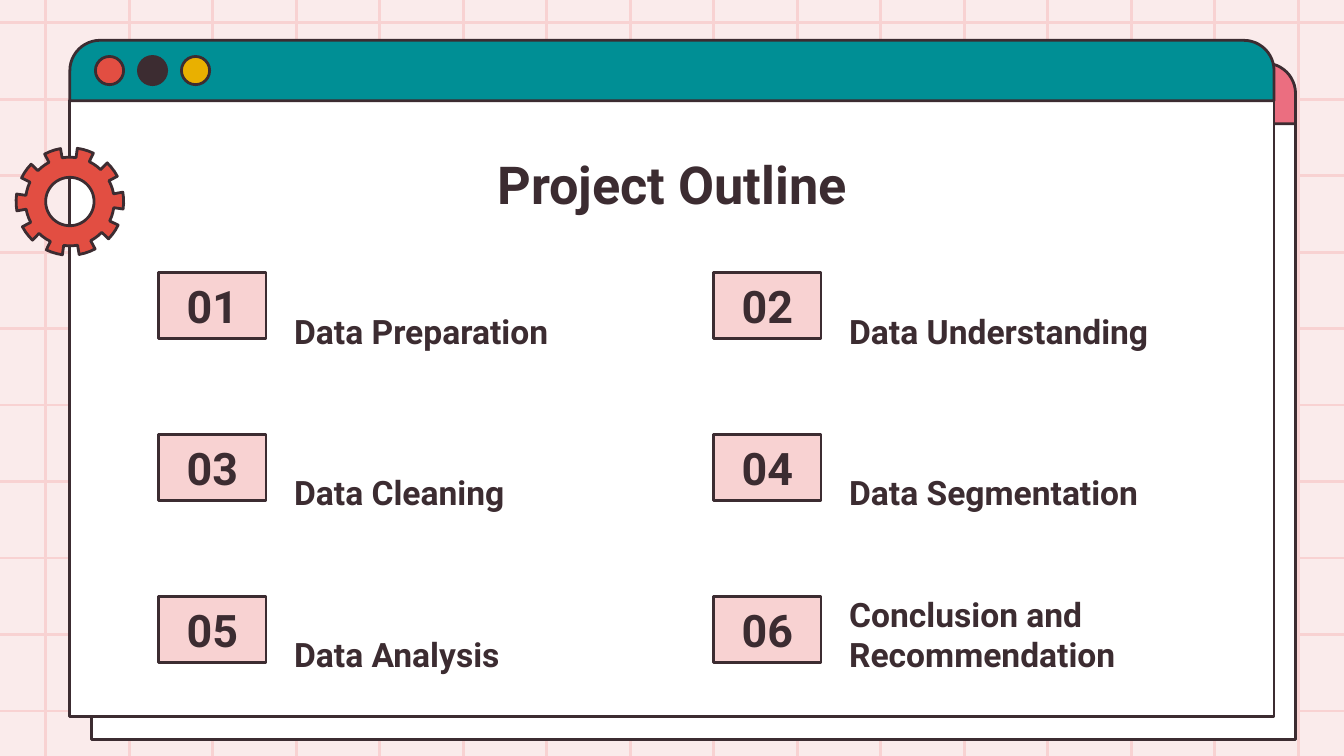
"""Build the Project Outline slide with a retro browser window."""
import math
from dataclasses import dataclass

import lxml.etree
import pptx
import pptx.dml.color
import pptx.enum.shapes
import pptx.enum.text
import pptx.oxml.ns
import pptx.util

Inches = pptx.util.Inches
Shape = pptx.enum.shapes.MSO_SHAPE
Anchor = pptx.enum.text.MSO_ANCHOR
Align = pptx.enum.text.PP_ALIGN


@dataclass(frozen=True)
class Theme:
    """Colours, font and type sizes of the slide."""
    backdrop: str = "FAEBEB"
    pink: str = "F8D2D2"
    ink: str = "3C2C31"
    white: str = "FFFFFF"
    rose: str = "EB6E80"
    teal: str = "008F95"
    red: str = "E24E42"
    yellow: str = "E9B000"
    font: str = "Roboto"
    title_size: int = 28
    number_size: int = 24
    label_size: int = 18
    stroke: float = 1.5


THEME = Theme()
TOPICS = [
    "Data Preparation", "Data Understanding",
    "Data Cleaning", "Data Segmentation",
    "Data Analysis", "Conclusion and Recommendation",
]


def rgb(colour):
    """Turn a hex string into a colour."""
    return pptx.dml.color.RGBColor.from_string(colour)


def paint(shape, fill):
    """Give a shape a flat fill and the ink outline."""
    shape.shadow.inherit = False
    shape.fill.solid()
    shape.fill.fore_color.rgb = rgb(fill)
    shape.line.color.rgb = rgb(THEME.ink)
    shape.line.width = pptx.util.Pt(THEME.stroke)


def add_block(slide, preset, box, fill):
    """Add a painted preset shape."""
    block = slide.shapes.add_shape(preset, *map(Inches, box))
    paint(block, fill)
    return block


def write(shape, text, size, align, anchor):
    """Set bold text with even insets in a shape."""
    frame = shape.text_frame
    frame.text = text
    frame.word_wrap = True
    frame.auto_size = pptx.enum.text.MSO_AUTO_SIZE.NONE
    frame.vertical_anchor = anchor
    frame.margin_left = frame.margin_right = Inches(0.1)
    frame.margin_top = frame.margin_bottom = Inches(0.1)
    paragraph = frame.paragraphs[0]
    paragraph.alignment = align
    font = paragraph.runs[0].font
    font.name = THEME.font
    font.size = pptx.util.Pt(size)
    font.bold = True
    font.color.rgb = rgb(THEME.ink)


def add_grid_line(slide, start, end):
    """Add one line of the background grid."""
    rule = slide.shapes.add_connector(
        pptx.enum.shapes.MSO_CONNECTOR.STRAIGHT, *map(Inches, start + end))
    rule.line.color.rgb = rgb(THEME.pink)
    rule.line.width = pptx.util.Pt(THEME.stroke)
    lxml.etree.SubElement(rule.element.spPr, pptx.oxml.ns.qn("a:effectLst"))


def add_grid(slide):
    """Cover the background with evenly spaced lines."""
    for column in range(16):
        x = 0.34 + column * 9.32 / 15
        add_grid_line(slide, (x, 5.82), (x, -0.36))
    for row in range(10):
        y = 0.17 + row * 5.12 / 9
        add_grid_line(slide, (-0.22, y), (10.22, y))


def add_window(slide, left, top, bar_colour):
    """Add a browser window with a title bar and three buttons."""
    add_block(slide, Shape.RECTANGLE, (left, top + 0.45, 8.96, 4.58), THEME.white)
    bar = add_block(slide, Shape.ROUND_2_SAME_RECTANGLE, (left, top, 8.96, 0.45), bar_colour)
    bar.adjustments[0] = 0.5
    for place, colour in enumerate((THEME.red, THEME.ink, THEME.yellow)):
        add_block(slide, Shape.OVAL,
                  (left + 0.19 + 0.32 * place, top + 0.12, 0.21, 0.21), colour)


def polar(degrees, radius):
    """Locate a point around the gear's centre."""
    angle = math.radians(degrees)
    return (Inches(0.52 + radius * math.cos(angle)),
            Inches(1.5 + radius * math.sin(angle)))


def add_gear(slide):
    """Add a ten-toothed gear with a round hole."""
    rim = [polar(18 * half + step - 10, 0.33 if half % 2 else 0.4)
           for half in range(20) for step in range(0, 19, 6)]
    hole = [polar(-degrees, 0.18) for degrees in range(0, 360, 6)]
    outline = slide.shapes.build_freeform(*rim[0])
    outline.add_line_segments(rim[1:], close=True)
    outline.move_to(*hole[0])
    outline.add_line_segments(hole[1:], close=True)
    paint(outline.convert_to_shape(), THEME.red)


def add_title(slide, text):
    """Place the title above the window."""
    title = slide.shapes.title
    title.left, title.top, title.width, title.height = map(Inches, (0.98, 1.03, 8.04, 0.63))
    write(title, text, THEME.title_size, Align.CENTER, Anchor.TOP)
    slide.shapes.element.append(title.element)


def add_topic(slide, index, topic):
    """Add a numbered box and its label in the two-column outline."""
    row, column = divmod(index, 2)
    left, top = 1.18 + 4.13 * column, 2.03 + 2.41 * row / 2
    number = add_block(slide, Shape.RECTANGLE, (left, top, 0.8, 0.49), THEME.pink)
    write(number, f"{index + 1:02}", THEME.number_size, Align.CENTER, Anchor.MIDDLE)
    label = slide.shapes.add_textbox(*map(Inches, (left + 0.91, top - 0.14, 2.6, 0.82)))
    write(label, topic, THEME.label_size, Align.LEFT, Anchor.BOTTOM)


def main():
    """Build and save the slide."""
    deck = pptx.Presentation()
    deck.slide_width = Inches(10)
    deck.slide_height = deck.slide_width * 9 // 16
    slide = deck.slides.add_slide(deck.slide_layouts.get_by_name("Title Only"))
    slide.background.fill.solid()
    slide.background.fill.fore_color.rgb = rgb(THEME.backdrop)
    add_grid(slide)
    add_window(slide, 0.68, 0.47, THEME.rose)
    add_window(slide, 0.52, 0.3, THEME.teal)
    add_title(slide, "Project Outline")
    for index, topic in enumerate(TOPICS):
        add_topic(slide, index, topic)
    add_gear(slide)
    deck.save("out.pptx")


if __name__ == "__main__":
    main()
